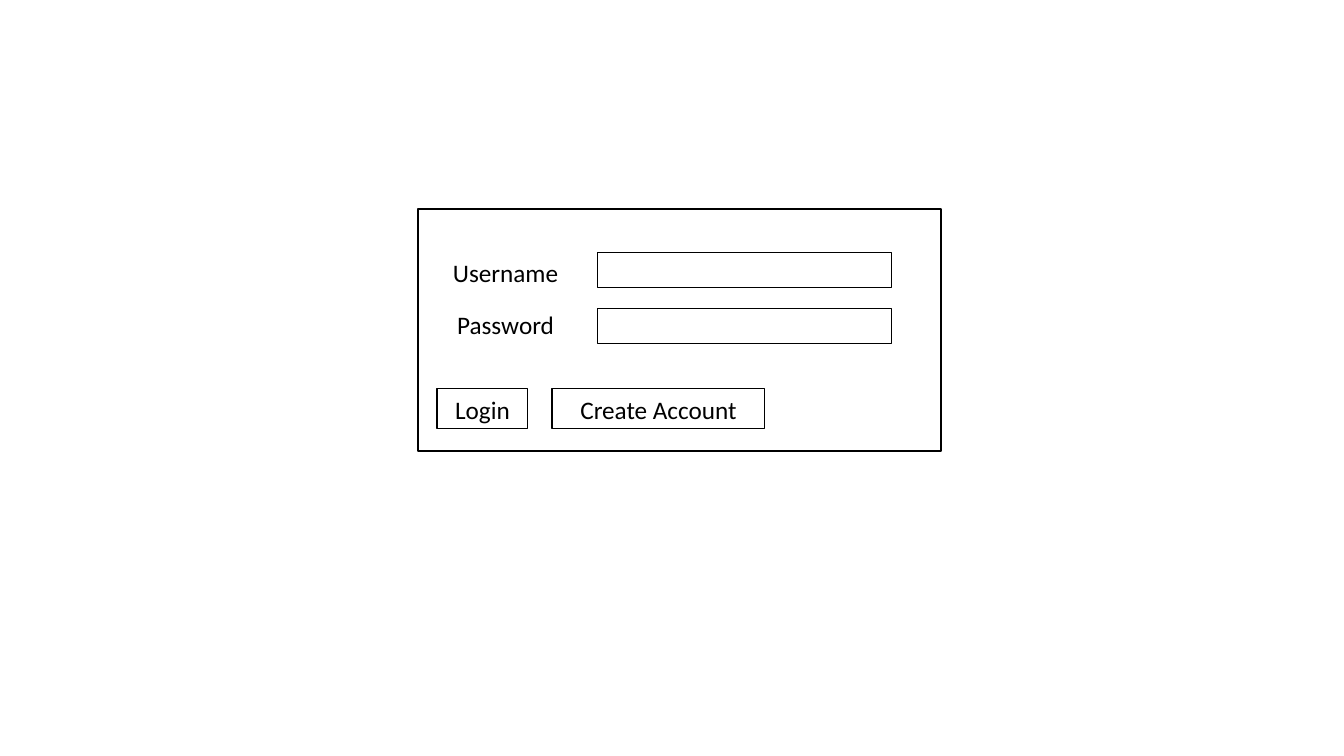
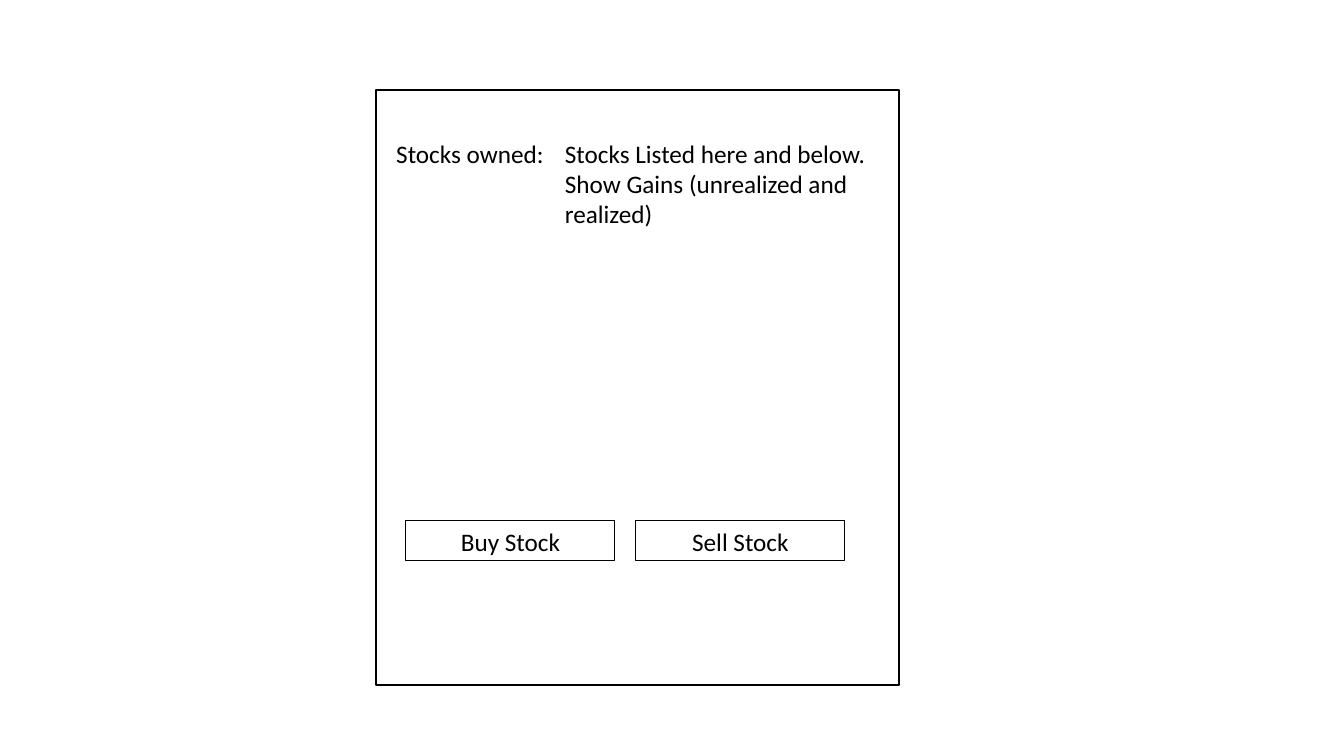
from pptx import Presentation
from pptx.dml.color import RGBColor
from pptx.enum.shapes import MSO_SHAPE
from pptx.enum.text import MSO_ANCHOR, MSO_AUTO_SIZE, PP_ALIGN
from pptx.util import Emu, Pt

SCALE = 914400 / 100.8
COLORS = {"paper": "FFFFFF", "ink": "000000"}


def px(n):
    return Emu(round(n * SCALE))


def color(name):
    return RGBColor.from_string(COLORS[name])


def write(tf, *lines, size=18, font="Calibri", ink="ink", align=PP_ALIGN.CENTER):
    tf.word_wrap = True
    tf.auto_size = MSO_AUTO_SIZE.SHAPE_TO_FIT_TEXT
    tf.vertical_anchor = MSO_ANCHOR.TOP
    for i, line in enumerate(lines):
        p = tf.add_paragraph() if i else tf.paragraphs[0]
        p.alignment = align
        r = p.add_run()
        r.text = line
        r.font.size = Pt(size)
        r.font.name = font
        r.font.color.rgb = color(ink)


class Wireframe:
    row_height = 40

    def __init__(self, prs):
        self.prs = prs
        self.s = None

    def new_slide(self):
        self.s = self.prs.slides.add_slide(self.prs.slide_layouts[6])

    def box(self, x, y, w, h, fill=None, line=0.75):
        sp = self.s.shapes.add_shape(MSO_SHAPE.RECTANGLE, px(x), px(y), px(w), px(h))
        sp.shadow.inherit = False
        if fill:
            sp.fill.solid()
            sp.fill.fore_color.rgb = color(fill)
        else:
            sp.fill.background()
        sp.line.color.rgb = color("ink")
        sp.line.width = Pt(line)
        return sp

    def panel(self, x, y, h):
        self.box(x, y, 523, h, fill="paper", line=1)

    def field(self, x, y):
        self.box(x, y, 294, 35)

    def button(self, text, x, y, w):
        write(self.box(x, y, w, self.row_height).text_frame, text)

    def label(self, *lines, x, y, w, h=row_height, **fmt):
        sp = self.s.shapes.add_textbox(px(x), px(y), px(w), px(h))
        write(sp.text_frame, *lines, **fmt)


prs = Presentation()
prs.slide_width, prs.slide_height = px(1344), px(756)
ui = Wireframe(prs)

ui.new_slide()
ui.panel(418, 209, 242)
for y in (253, 309):
    ui.field(598, y)
ui.button("Login", 437, 389, 91)
ui.button("Create Account", 552, 389, 213)
for text, y in (("Username", 252), ("Password", 304)):
    ui.label(text, x=426, y=y, w=159)

ui.new_slide()
ui.panel(376, 90, 595)
ui.label("Stocks Listed here and below.", "Show Gains (unrealized and realized)",
         x=555, y=133, w=355, h=102, align=PP_ALIGN.LEFT)
ui.label("Stocks owned:", x=385, y=133, w=170)
for i, text in enumerate(("Buy Stock", "Sell Stock")):
    ui.button(text, 406 + 230 * i, 521, 209)

prs.save("out.pptx")
